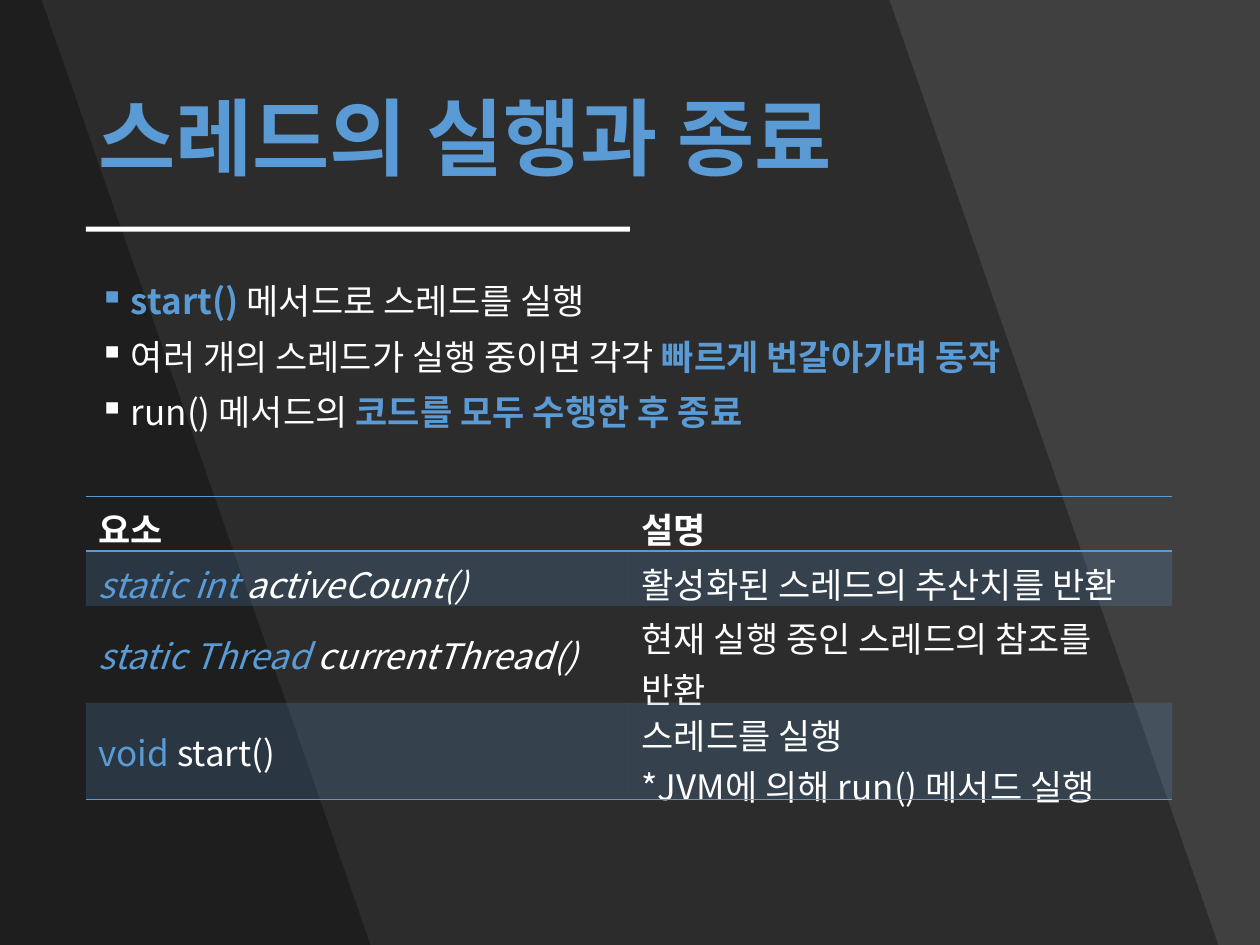
from typing import NamedTuple

from lxml.etree import SubElement as Sub
from pptx import Presentation
from pptx.dml.color import RGBColor as Rgb
from pptx.enum.shapes import MSO_SHAPE as Kind
from pptx.enum.text import MSO_ANCHOR as Anchor
from pptx.oxml.ns import qn
from pptx.util import Cm, Pt

HUES = {"back": "404040", "band": "000000", "blue": "5B9BD5", "white": "FFFFFF"}
FONT = "Noto Sans CJK KR"
WIDE, HIGH = 25.4, 19.05
LEFT = 1.73
SLANT = 6.63
PLAIN = "{2D5ABB26-0587-4C30-8999-92F81FD0307C}"  # style without grid or fill


class Run(NamedTuple):
    text: str
    hue: str = "white"
    bold: bool = False
    slope: bool = False


Line = list[Run]

TITLE: Line = [Run("스레드의 실행과 종료", "blue", True)]

POINTS: list[Line] = [
    [Run("start() ", "blue", True), Run("메서드로 스레드를 실행")],
    [Run("여러 개의 스레드가 실행 중이면 각각 "),
     Run("빠르게 번갈아가며 동작", "blue", True)],
    [Run("run() 메서드의 "), Run("코드를 모두 수행한 후 종료", "blue", True)],
]

# Each cell is a list of lines
ROWS: list[list[list[Line]]] = [
    [[[Run("요소", bold=True)]], [[Run("설명", bold=True)]]],
    [[[Run("static int ", "blue", slope=True), Run("activeCount()", slope=True)]],
     [[Run("활성화된 스레드의 추산치를 반환")]]],
    [[[Run("static Thread ", "blue", slope=True),
       Run("currentThread()", slope=True)]],
     [[Run("현재 실행 중인 스레드의 참조를 반환")]]],
    [[[Run("void", "blue"), Run(" start()")]],
     [[Run("스레드를 실행")], [Run("*JVM에 의해 run() 메서드 실행")]]],
]


def paint(fill, hue: str, alpha: int = 100) -> None:
    fill.solid()
    fill.fore_color.rgb = Rgb.from_string(HUES[hue])
    if alpha < 100:
        tint = fill._xPr.find(".//" + qn("a:srgbClr"))
        Sub(tint, qn("a:alpha"), val=str(alpha * 1000))


def write(frame, lines: list[Line], size: int, tight: bool = False,
          mark: str = "") -> None:
    frame.word_wrap = True
    for num, line in enumerate(lines):
        para = frame.add_paragraph() if num else frame.paragraphs[0]
        if tight:
            para.line_spacing = 0.9
        if mark:
            para.space_before = Pt(10)
            props = para._p.get_or_add_pPr()
            props.set("marL", str(Cm(0.64)))
            props.set("indent", str(-Cm(0.64)))
            Sub(props, qn("a:buChar"), char=mark)
        font = para.font
        font.size, font.name = Pt(size), FONT
        Sub(font._rPr, qn("a:ea"), typeface=FONT)
        for part in line:
            run = para.add_run()
            run.text = part.text
            run.font.bold, run.font.italic = part.bold, part.slope
            run.font.color.rgb = Rgb.from_string(HUES[part.hue])


def add_band(shapes, top: float) -> None:
    """Dark slanted panel whose upper edge ends at top."""
    pen = shapes.build_freeform(0, 0, scale=1.0)
    pen.add_line_segments([(Cm(top), 0), (Cm(top + SLANT), Cm(HIGH)),
                           (0, Cm(HIGH))], close=True)
    band = pen.convert_to_shape()
    band.shadow.inherit = False
    band.line.fill.background()
    paint(band.fill, "band", 30)


def add_rule(cell, sides: str) -> None:
    props = cell._tc.get_or_add_tcPr()
    for spot, side in enumerate(sides):
        edge = Sub(props, qn(f"a:ln{side}"), w=str(Pt(1)))
        fill = Sub(edge, qn("a:solidFill"))
        Sub(fill, qn("a:srgbClr"), val=HUES["blue"])
        props.insert(spot, edge)


def add_grid(shapes) -> None:
    grid = shapes.add_table(len(ROWS), 2, Cm(LEFT), Cm(10.01),
                            Cm(21.9), Cm(4.16)).table
    grid._tbl.tblPr.find(qn("a:tableStyleId")).text = PLAIN
    rules = {0: "TB", len(ROWS) - 1: "B"}
    for y, row in enumerate(ROWS):
        for x, lines in enumerate(row):
            cell = grid.cell(y, x)
            cell.vertical_anchor = Anchor.MIDDLE
            write(cell.text_frame, lines, 20)
            if y % 2:
                paint(cell.fill, "blue", 20)
            else:
                cell.fill.background()
            add_rule(cell, rules.get(y, ""))


def main() -> None:
    deck = Presentation()
    deck.slide_width, deck.slide_height = Cm(WIDE), Cm(HIGH)
    slide = deck.slides.add_slide(deck.slide_layouts[6])
    shapes = slide.shapes

    # Backdrop
    paint(slide.background.fill, "back")
    for top in (17.93, 0.84):
        add_band(shapes, top)

    # Title and underline
    title = shapes.add_textbox(Cm(LEFT), Cm(1.02), Cm(21.92), Cm(3.68))
    title.text_frame.vertical_anchor = Anchor.MIDDLE
    write(title.text_frame, [TITLE], 48, tight=True)
    bar = shapes.add_shape(Kind.RECTANGLE, Cm(LEFT), Cm(4.57), Cm(10.97), Cm(0.1))
    bar.shadow.inherit = False
    bar.line.fill.background()
    paint(bar.fill, "white")

    # Bullet points
    body = shapes.add_textbox(Cm(1.75), Cm(5.61), Cm(21.89), Cm(11.53))
    write(body.text_frame, POINTS, 20, tight=True, mark="▪")

    # Method table
    add_grid(shapes)
    deck.save("out.pptx")


if __name__ == "__main__":
    main()
